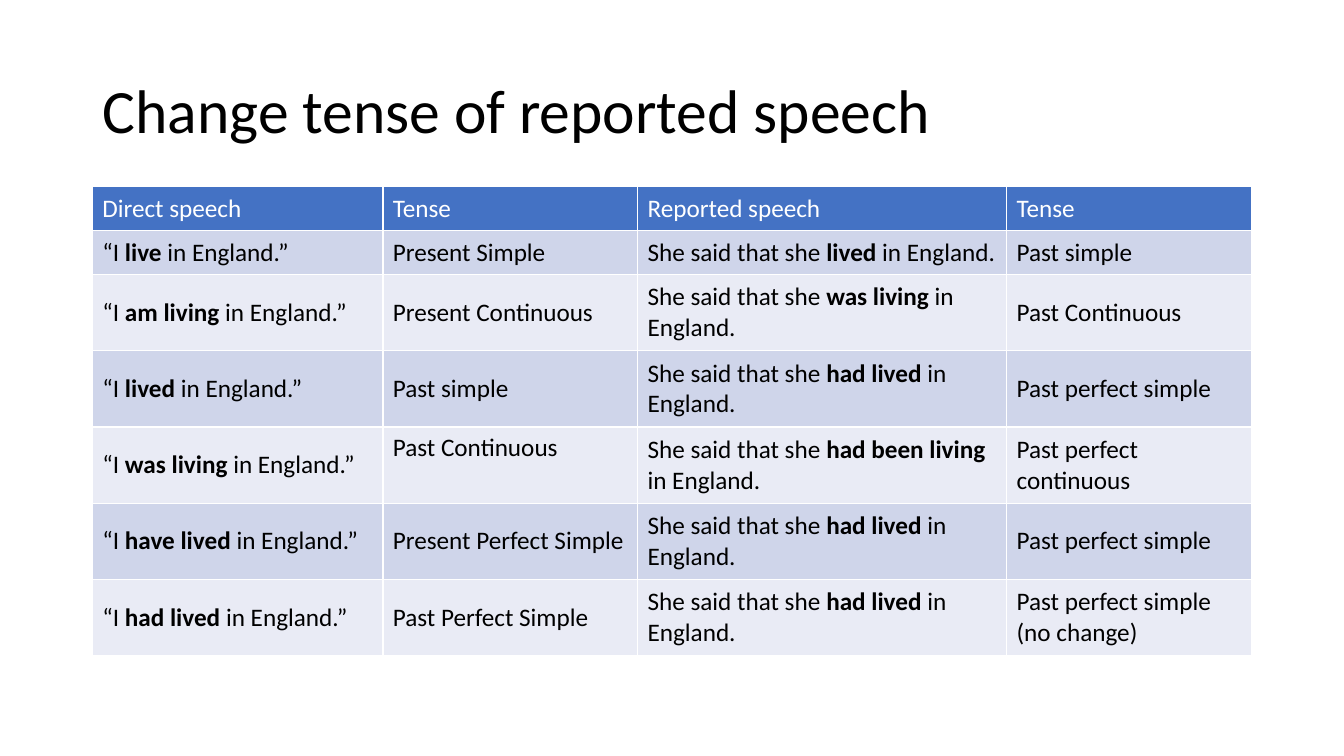
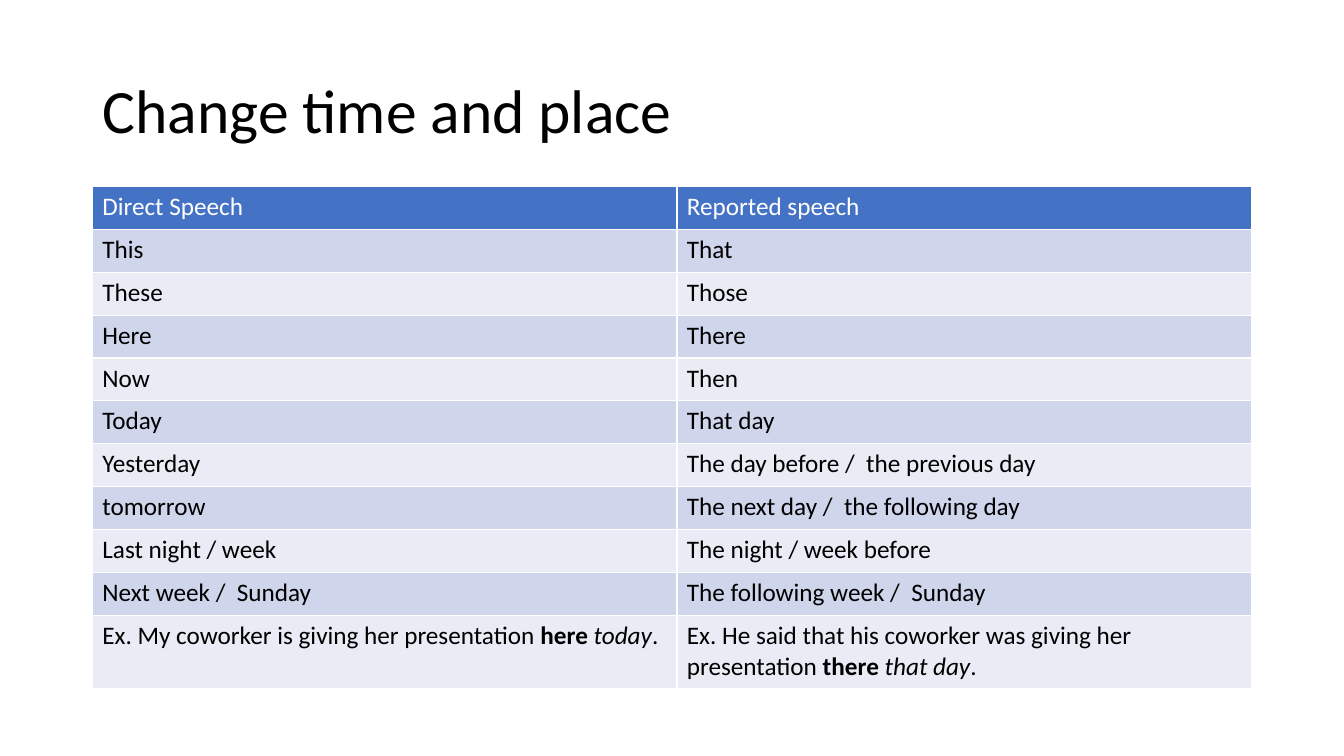
"""Build two slides on reported speech: tense changes, and time and place changes."""
from pptx import Presentation
from pptx.dml.color import RGBColor
from pptx.enum.text import MSO_ANCHOR as Anchor, MSO_AUTO_SIZE as AutoSize, PP_ALIGN as Align
from pptx.util import Cm, Pt

COLORS = {"header": "4472C4", "odd": "CFD5EA", "even": "E9EBF5", "white": "FFFFFF", "black": "000000"}
FONT = "Calibri"
LEFT, WIDTH = Cm(2.33), Cm(29.21)
TITLE_BOX = {"left": LEFT, "top": Cm(1.01), "width": WIDTH, "height": Cm(3.68)}
TITLE_FRAME = {"vertical_anchor": Anchor.MIDDLE, "auto_size": AutoSize.NONE, "word_wrap": True}
TITLE_PARAGRAPH = {"alignment": Align.LEFT, "line_spacing": 0.9}
CELL_MARGINS = {"margin_left": Cm(0.25), "margin_right": Cm(0.25),
                "margin_top": Cm(0.13), "margin_bottom": Cm(0.13)}
BOLD, ITALIC = "*", "_"

SLIDES = [
    {
        "title": "Change tense of reported speech",
        "widths": [7.32, 6.42, 9.3, 6.17],
        "heights": [1.11] * 2 + [1.92] * 5,
        "anchor": Anchor.MIDDLE,
        "top_cells": [(4, 1)],
        "rows": [
            ["Direct speech", "Tense", "Reported speech", "Tense"],
            ["“I |*live| in England.”", "Present Simple",
             "She said that she |*lived| in England.", "Past simple"],
            ["“I |*am living| in England.”", "Present Continuous",
             "She said that she |*was living| in England.", "Past Continuous"],
            ["“I |*lived| in England.”", "Past simple",
             "She said that she |*had lived| in England.", "Past perfect simple"],
            ["“I |*was living |in England.”", "Past Continuous",
             "She said that she |*had been living| in England.", "Past perfect continuous"],
            ["“I |*have lived |in England.”", "Present Perfect Simple",
             "She said that she |*had lived |in England.", "Past perfect simple"],
            ["“I |*had lived |in England.”", "Past Perfect Simple",
             "She said that she |*had lived| in England.", "Past perfect simple (no change)"],
        ],
    },
    {
        "title": "Change time and place",
        "widths": [14.73, 14.48],
        "heights": [1.08] * 10 + [1.84],
        "anchor": Anchor.TOP,
        "top_cells": [],
        "rows": [
            ["Direct Speech", "Reported speech"],
            ["This", "That"],
            ["These", "Those"],
            ["Here", "There"],
            ["Now", "Then"],
            ["Today", "That day"],
            ["Yesterday", "The day before /  the previous day"],
            ["tomorrow", "The next day /  the following day"],
            ["Last night / week", "The night / week before"],
            ["Next week /  Sunday", "The following week /  Sunday"],
            ["Ex. My coworker is giving her presentation |*here |_today|.",
             "Ex. He said that his coworker was giving her presentation |*there |_that day|."],
        ],
    },
]


def set_attributes(target, values):
    for name, value in values.items():
        setattr(target, name, value)


def add_runs(paragraph, text, size, color):
    for piece in text.split("|"):
        run = paragraph.add_run()
        run.text = piece.lstrip(BOLD + ITALIC)
        set_attributes(run.font, {"name": FONT, "size": Pt(size), "bold": piece.startswith(BOLD),
                                  "italic": piece.startswith(ITALIC)})
        run.font.color.rgb = RGBColor.from_string(COLORS[color])


presentation = Presentation()
presentation.slide_width, presentation.slide_height = Cm(33.87), Cm(19.05)
title_only = presentation.slide_layouts.get_by_name("Title Only")

for content in SLIDES:
    slide = presentation.slides.add_slide(title_only)
    title = slide.shapes.title
    set_attributes(title, TITLE_BOX)
    set_attributes(title.text_frame, TITLE_FRAME)
    paragraph = title.text_frame.paragraphs[0]
    set_attributes(paragraph, TITLE_PARAGRAPH)
    add_runs(paragraph, content["title"], 44, "black")

    rows, widths, heights = content["rows"], content["widths"], content["heights"]
    table = slide.shapes.add_table(len(rows), len(widths), LEFT, Cm(4.7),
                                   WIDTH, Cm(sum(heights))).table
    for column, width in zip(table.columns, widths):
        column.width = Cm(width)
    for row, height in zip(table.rows, heights):
        row.height = Cm(height)

    for row_index, texts in enumerate(rows):
        is_header = row_index == 0
        fill_color = "header" if is_header else "odd" if row_index % 2 else "even"
        for column_index, text in enumerate(texts):
            cell = table.cell(row_index, column_index)
            at_top = (row_index, column_index) in content["top_cells"]
            set_attributes(cell, CELL_MARGINS)
            cell.vertical_anchor = Anchor.TOP if at_top else content["anchor"]
            cell.fill.solid()
            cell.fill.fore_color.rgb = RGBColor.from_string(COLORS[fill_color])
            add_runs(cell.text_frame.paragraphs[0], text, 18, "white" if is_header else "black")

presentation.save("out.pptx")
